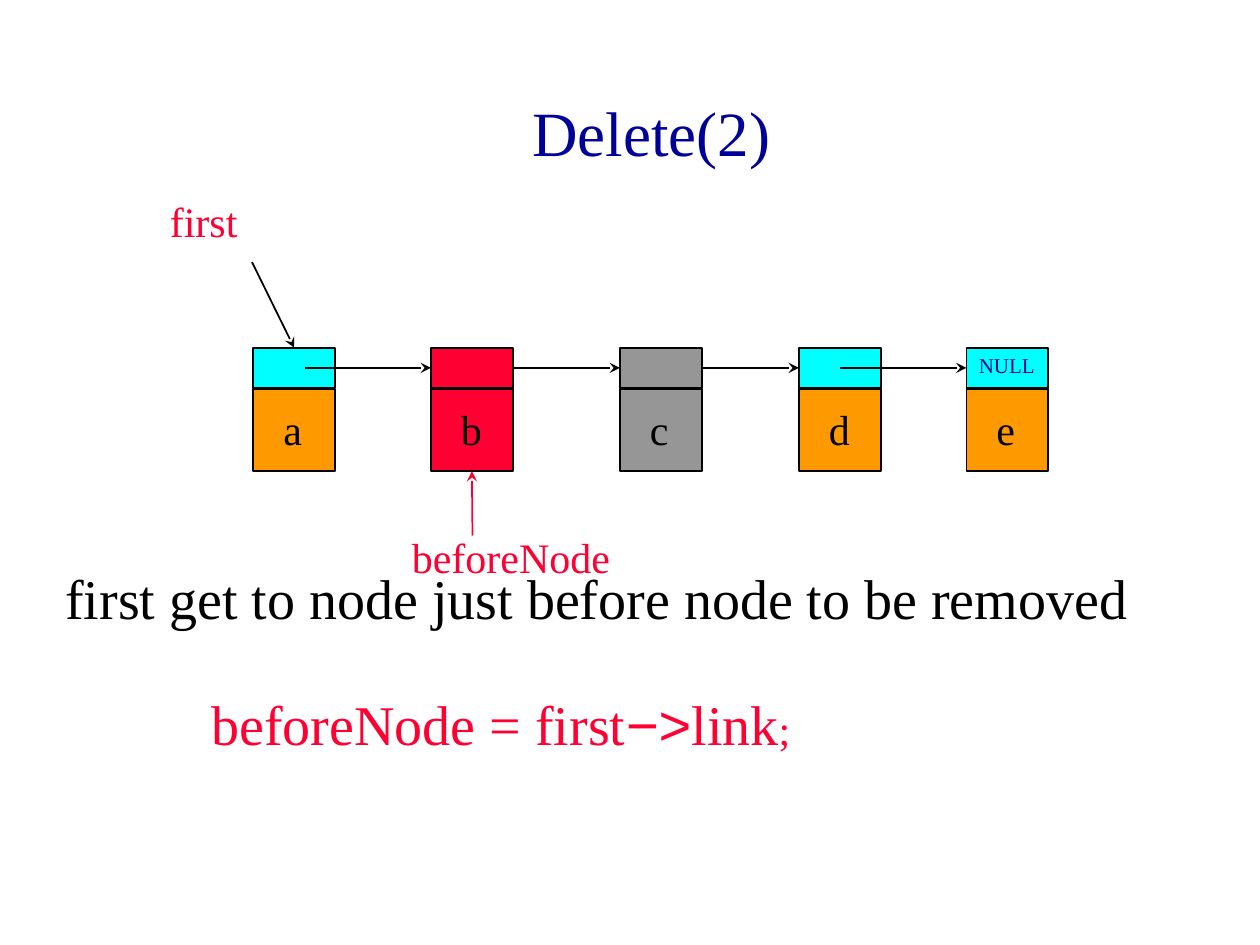
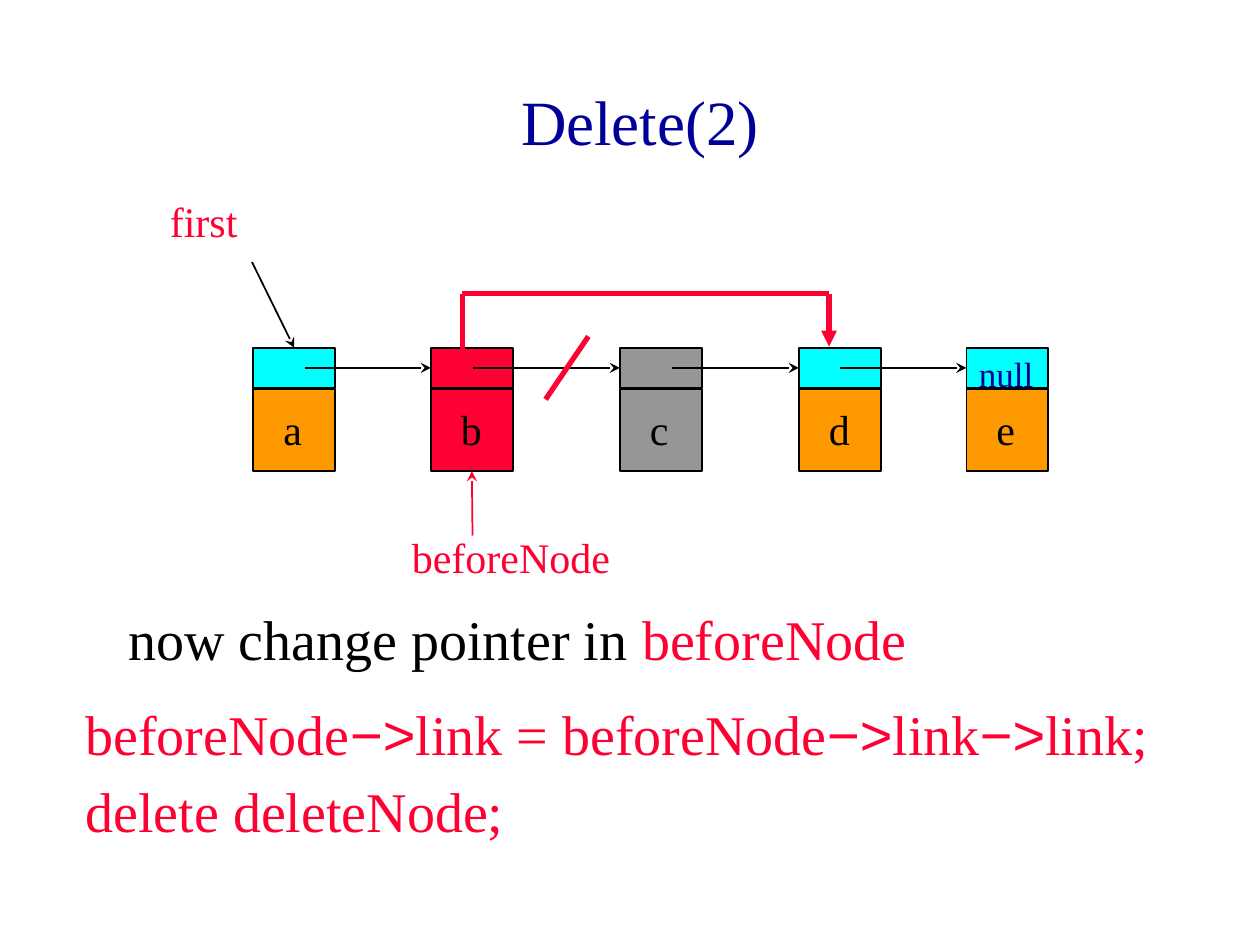
"""Build two slides that show how a node is deleted from a linked list."""
from itertools import pairwise

from lxml.etree import SubElement
from pptx import Presentation
from pptx.dml.color import RGBColor
from pptx.enum.shapes import MSO_CONNECTOR as Connector, MSO_SHAPE as Shape
from pptx.enum.text import MSO_ANCHOR as Anchor, PP_ALIGN as Align
from pptx.oxml.ns import qn
from pptx.util import Inches, Pt

COLORS = {
    "ink": "000000",
    "title": "000099",
    "accent": "FF0033",
    "link": "00FFFF",
    "data": "FF9900",
    "removed": "969696",
}
FONT, SYMBOL_FONT = "Times New Roman", "Arial"
COLUMNS, ROWS = 100, 75
TOP, SIDE_LEFT, BOTTOM, SIDE_RIGHT = range(4)
NODE_TOP, NODE_WIDTH, LINK_HEIGHT, DATA_HEIGHT = 27.6, 6.5, 3.2, 6.5
LINK_MIDDLE = NODE_TOP + LINK_HEIGHT / 2
NODE_COLUMNS = {"a": 20.1, "b": 34.2, "c": 49.2, "d": 63.4, "e": 76.7}
LINK_STARTS = {"a": 24.2, "b": 37.5, "c": 53.3, "d": 66.7}


def code_runs(code):
    """Split code into runs, with each arrow in the symbol font."""
    runs = []
    for index, part in enumerate(code.split("−>")):
        if index:
            runs.append(("−>", {"font": SYMBOL_FONT}))
        runs.append((part, {}))
    return runs


def color(name):
    """Return the named colour."""
    return RGBColor.from_string(COLORS[name])


class ListDeck:
    """Hold the style and the current slide of the linked list deck."""

    def __init__(self):
        """Start an empty presentation with a cell grid."""
        self.presentation = Presentation()
        self.presentation.slide_width = Inches(10)
        self.presentation.slide_height = Inches(7.5)
        self.slide = None

    def x(self, columns):
        """Convert grid columns to a length."""
        return round(self.presentation.slide_width * columns / COLUMNS)

    def y(self, rows):
        """Convert grid rows to a length."""
        return round(self.presentation.slide_height * rows / ROWS)

    def area(self, left, top, width, height):
        """Convert a grid area to lengths."""
        return self.x(left), self.y(top), self.x(width), self.y(height)

    def text(self, area, *paragraphs, size=24, ink="ink", font=FONT,
             align=Align.LEFT, anchor=Anchor.TOP, wrap=True, gap=6):
        """Add a text box; a paragraph is a string or a list of runs."""
        frame = self.slide.shapes.add_textbox(*self.area(*area)).text_frame
        frame.word_wrap = wrap
        frame.vertical_anchor = anchor
        for index, content in enumerate(paragraphs):
            paragraph = frame.add_paragraph() if index else frame.paragraphs[0]
            paragraph.alignment = align
            if index:
                paragraph.space_before = Pt(gap)
            runs = [(content, {})] if isinstance(content, str) else content
            for words, changes in runs:
                run = paragraph.add_run()
                run.text = words
                run.font.name = changes.get("font", font)
                run.font.size = Pt(changes.get("size", size))
                run.font.color.rgb = color(changes.get("ink", ink))

    def title_slide(self, title, left, top):
        """Start a slide with its title."""
        layout = self.presentation.slide_layouts[6]
        self.slide = self.presentation.slides.add_slide(layout)
        self.text((left, top, 85, 12.5), title, size=36, ink="title",
                  align=Align.CENTER, anchor=Anchor.MIDDLE)

    def box(self, area, fill):
        """Add an outlined rectangle."""
        shape = self.slide.shapes.add_shape(Shape.RECTANGLE, *self.area(*area))
        shape.shadow.inherit = False
        shape.fill.solid()
        shape.fill.fore_color.rgb = color(fill)
        shape.line.color.rgb = color("ink")
        shape.line.width = Pt(1)
        return shape

    def line(self, start, end, ink="ink", width=1, head=None,
             begin_at=None, end_at=None):
        """Add a straight line, joined to (shape, side) where one is given."""
        connector = self.slide.shapes.add_connector(
            Connector.STRAIGHT, self.x(start[0]), self.y(start[1]),
            self.x(end[0]), self.y(end[1]))
        if begin_at:
            connector.begin_connect(*begin_at)
        if end_at:
            connector.end_connect(*end_at)
        connector.line.color.rgb = color(ink)
        connector.line.width = Pt(width)
        if head:
            SubElement(connector.line._get_or_add_ln(), qn("a:tailEnd"), type=head)
        SubElement(connector._element.spPr, qn("a:effectLst"))

    def node(self, letter, left, fill=None):
        """Add a node and return its link box and its data box."""
        data_top = NODE_TOP + LINK_HEIGHT + 0.1
        data = self.box((left, data_top, NODE_WIDTH, DATA_HEIGHT), fill or "data")
        link = self.box((left, NODE_TOP, NODE_WIDTH, LINK_HEIGHT), fill or "link")
        self.text((left + 1.4, 31.5, 3.6, 5), letter, wrap=False)
        return link, data

    def linked_list(self, null_label, null_size, links_from_edge=""):
        """Add the five nodes, their links and the two named pointers."""
        fills = {"b": "accent", "c": "removed"}
        nodes = {letter: self.node(letter, left, fills.get(letter))
                 for letter, left in NODE_COLUMNS.items()}
        for letter, following in pairwise(nodes):
            begin_at = None
            if letter in links_from_edge:
                begin_at = (nodes[letter][0], SIDE_RIGHT)
            self.line((LINK_STARTS[letter], LINK_MIDDLE),
                      (NODE_COLUMNS[following], LINK_MIDDLE), head="stealth",
                      begin_at=begin_at, end_at=(nodes[following][0], SIDE_LEFT))
        self.text((NODE_COLUMNS["e"], 27.5, 6.7, 3), null_label,
                  size=null_size, ink="title")
        self.text((12.5, 15, 18.3, 5), "first", ink="accent")
        self.line((20, 20.8), (23.3, NODE_TOP), head="stealth",
                  end_at=(nodes["a"][0], TOP))
        self.text((31.7, 41.7, 20, 5), "beforeNode", ink="accent")
        self.line((37.5, 42.5), (37.5, 37.5), ink="accent", head="stealth",
                  end_at=(nodes["b"][1], BOTTOM))

    def bypass(self):
        """Add the new link around the removed node and strike the old one."""
        corners = [(36.7, 29.2), (36.7, 23.3), (65.8, 23.3), (65.8, 27.5)]
        for start, end in pairwise(corners):
            self.line(start, end, ink="accent", width=3,
                      head="triangle" if end == corners[-1] else None)
        self.line((46.7, 26.7), (43.3, 31.7), ink="accent", width=3)


def main():
    """Build and save both slides."""
    deck = ListDeck()

    deck.title_slide("Delete(2)", 9.2, 4.2)
    deck.linked_list("NULL", 12, links_from_edge="bc")
    deck.text((4.2, 44.2, 92.5, 6.7),
              "first get to node just before node to be removed", size=32)
    deck.text((15.8, 54.2, 70, 7.5),
              code_runs("beforeNode = first−>link") + [(";", {"size": 24})],
              size=32, ink="accent")

    deck.title_slide("Delete(2)", 8.3, 3.3)
    deck.linked_list("null", 20)
    deck.bypass()
    deck.text((9.2, 47.5, 85, 10.8),
              [("now change pointer in", {}), (" beforeNode", {"ink": "accent"})],
              size=32)
    deck.text((5.8, 55, 94.2, 10.8),
              code_runs("beforeNode−>link = beforeNode−>link−>link;"),
              "delete deleteNode;", size=32, ink="accent")

    deck.presentation.save("out.pptx")


if __name__ == "__main__":
    main()
